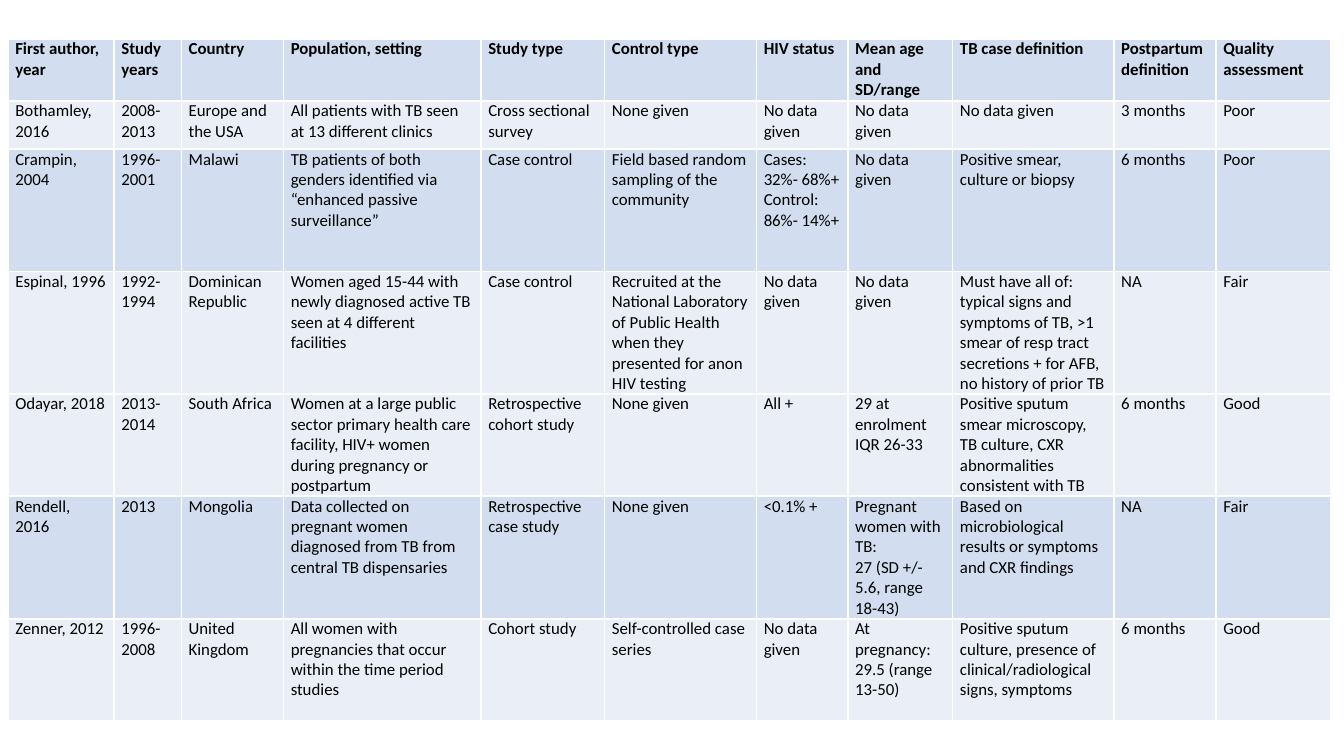
from lxml.etree import SubElement
from pptx import Presentation
from pptx.dml.color import RGBColor
from pptx.oxml.ns import qn
from pptx.util import Inches, Pt

COLORS = {"band": "D2DEEF", "light": "EAEFF7", "border": "FFFFFF", "text": "000000"}
FONT = "Calibri"
COL_WIDTHS = [0.79, 0.5, 0.76, 1.47, 0.92, 1.13, 0.68, 0.78, 1.2, 0.76, 0.85]
ROW_HEIGHTS = [0.46, 0.36, 0.91, 0.9, 0.73, 0.91, 0.76]
BAND_ROWS = {0, 2, 5}
STUDIES = [
    ["First author, year", "Study years", "Country", "Population, setting",
     "Study type", "Control type", "HIV status", "Mean age and SD/range",
     "TB case definition", "Postpartum definition", "Quality assessment"],
    ["Bothamley, 2016", "2008-2013", "Europe and the USA",
     "All patients with TB seen at 13 different clinics",
     "Cross sectional survey", "None given", "No data given", "No data given",
     "No data given", "3 months", "Poor"],
    ["Crampin, 2004", "1996-2001", "Malawi",
     "TB patients of both genders identified via “enhanced passive surveillance”",
     "Case control", "Field based random sampling of the community",
     "Cases: 32%- 68%+\nControl:\n86%- 14%+", "No data given",
     "Positive smear, culture or biopsy", "6 months", "Poor"],
    ["Espinal, 1996", "1992-1994", "Dominican Republic",
     "Women aged 15-44 with newly diagnosed active TB seen at 4 different facilities",
     "Case control",
     "Recruited at the National Laboratory of Public Health when they presented "
     "for anon HIV testing",
     "No data given", "No data given",
     "Must have all of: typical signs and symptoms of TB, >1 smear of resp tract "
     "secretions + for AFB, no history of prior TB",
     "NA", "Fair"],
    ["Odayar, 2018", "2013-2014", "South Africa",
     "Women at a large public sector primary health care facility, HIV+ women "
     "during pregnancy or postpartum",
     "Retrospective cohort study", "None given", "All +",
     "29 at enrolment IQR 26-33",
     "Positive sputum smear microscopy, TB culture, CXR abnormalities "
     "consistent with TB",
     "6 months", "Good"],
    ["Rendell, 2016", "2013", "Mongolia",
     "Data collected on pregnant women diagnosed from TB from central TB dispensaries",
     "Retrospective case study", "None given", "<0.1% +",
     "Pregnant women with TB:\n27 (SD +/- 5.6, range 18-43)",
     "Based on microbiological results or symptoms and CXR findings",
     "NA", "Fair"],
    ["Zenner, 2012", "1996-2008", "United Kingdom",
     "All women with pregnancies that occur within the time period studies",
     "Cohort study", "Self-controlled case series", "No data given",
     "At pregnancy: 29.5 (range 13-50)",
     "Positive sputum culture, presence of clinical/radiological signs, symptoms",
     "6 months", "Good"],
]


def set_borders(cell):
    tcPr = cell._tc.get_or_add_tcPr()
    for side in ("a:lnL", "a:lnR", "a:lnT", "a:lnB"):
        ln = SubElement(tcPr, qn(side), w=str(Pt(1)))
        fill = SubElement(ln, qn("a:solidFill"))
        SubElement(fill, qn("a:srgbClr"), val=COLORS["border"])


def style_cell(cell, text, fill, bold):
    cell.margin_left = cell.margin_right = Pt(3.9)
    cell.margin_top = cell.margin_bottom = 0
    set_borders(cell)
    cell.fill.solid()
    cell.fill.fore_color.rgb = RGBColor.from_string(COLORS[fill])
    cell.text_frame.text = text
    for p in cell.text_frame.paragraphs:
        for r in p.runs:
            r.font.name = FONT
            r.font.size = Pt(9)
            r.font.bold = bold
            r.font.color.rgb = RGBColor.from_string(COLORS["text"])


def add_study_table(slide, left, top, width, height):
    table = slide.shapes.add_table(
        len(STUDIES), len(COL_WIDTHS),
        Inches(left), Inches(top), Inches(width), Inches(height)).table
    table.first_row = False
    table.horz_banding = False
    for col, w in zip(table.columns, COL_WIDTHS):
        col.width = Inches(w * width / sum(COL_WIDTHS))
    for row, h in zip(table.rows, ROW_HEIGHTS):
        row.height = Inches(h * height / sum(ROW_HEIGHTS))
    for i, study in enumerate(STUDIES):
        fill = "band" if i in BAND_ROWS else "light"
        for j, text in enumerate(study):
            style_cell(table.cell(i, j), text, fill, bold=i == 0)


def main():
    prs = Presentation()
    prs.slide_width = Inches(10)
    prs.slide_height = prs.slide_width * 9 // 16
    slide = prs.slides.add_slide(prs.slide_layouts[6])
    add_study_table(slide, 0.06, 0.29, 9.84, 5.03)
    prs.save("out.pptx")


if __name__ == "__main__":
    main()
